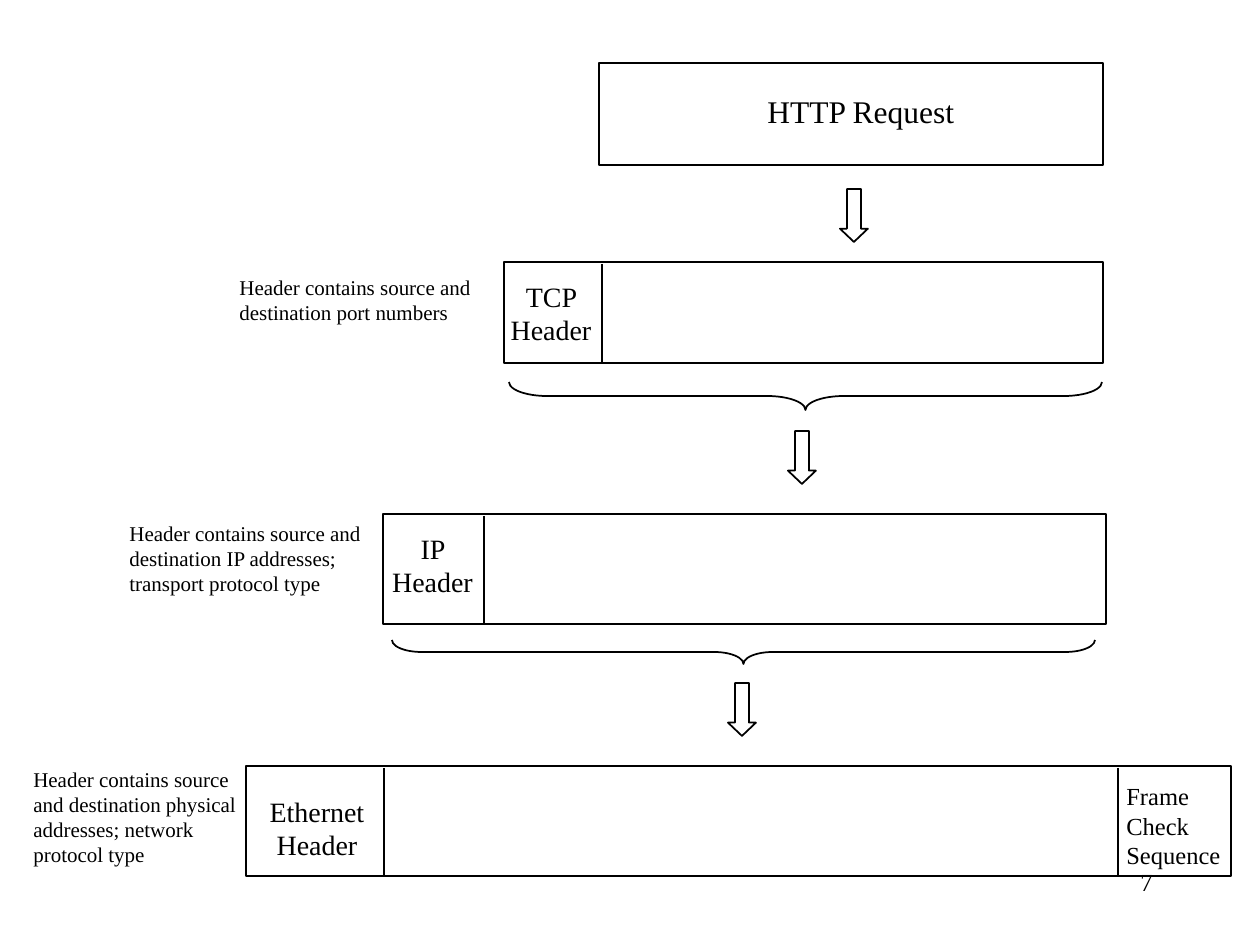
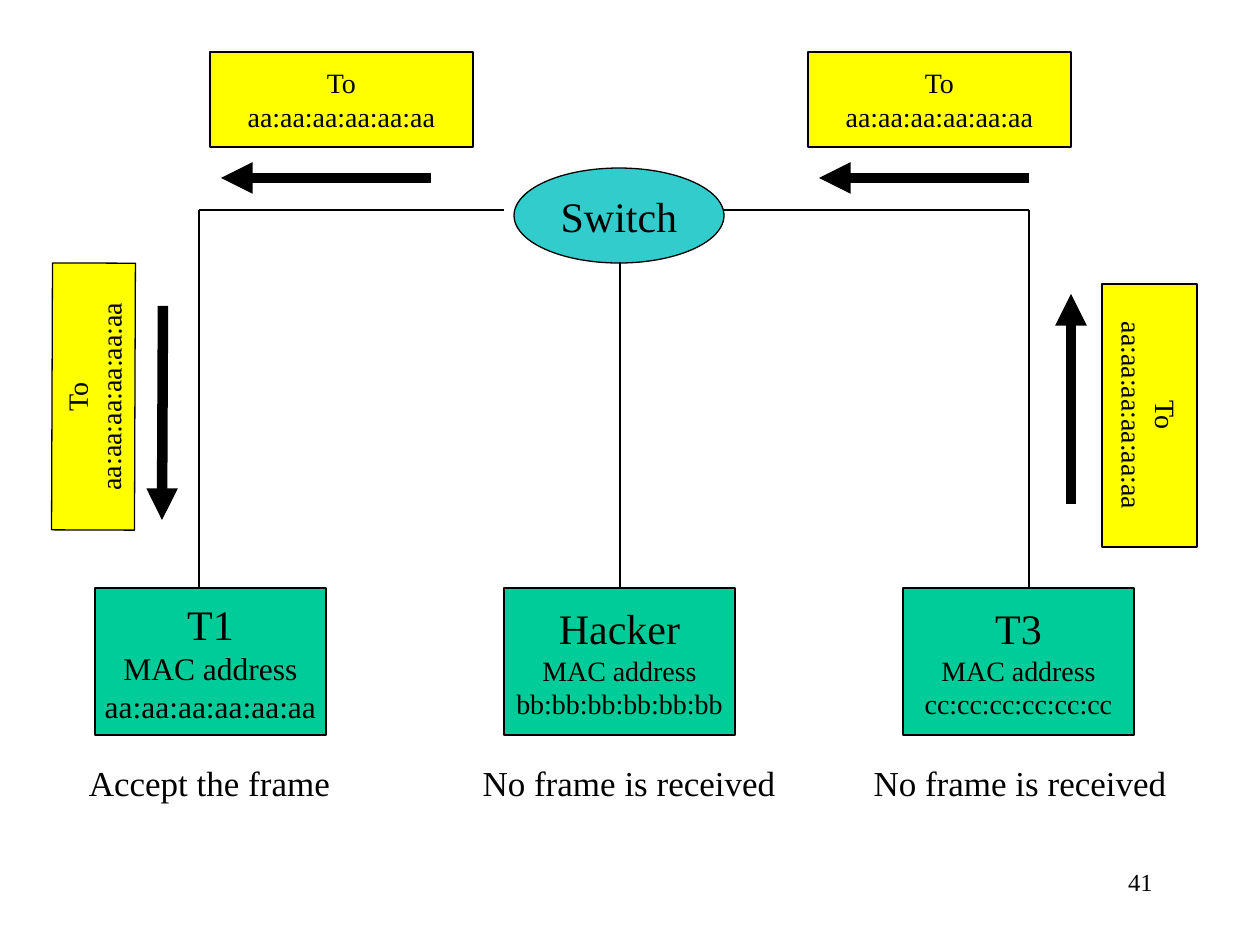
from lxml.etree import SubElement
from pptx import Presentation
from pptx.dml.color import RGBColor
from pptx.enum.shapes import MSO_CONNECTOR, MSO_SHAPE
from pptx.enum.text import MSO_ANCHOR, PP_ALIGN
from pptx.oxml.ns import qn
from pptx.util import Emu, Pt

SCALE = 914400 / 126
FONT = "Times New Roman"
BLACK = RGBColor(0x00, 0x00, 0x00)
GREEN = RGBColor(0x00, 0xCC, 0x99)
TEAL = RGBColor(0x33, 0xCC, 0xCC)
YELLOW = RGBColor(0xFF, 0xFF, 0x00)
LEFT, MID, RIGHT = PP_ALIGN.LEFT, PP_ALIGN.CENTER, PP_ALIGN.RIGHT


def px(*sizes):
    """Turn pixel lengths into EMU."""
    return [Emu(round(size * SCALE)) for size in sizes]


def write(shape, text, size=16, head=None, align=MID, anchor=MSO_ANCHOR.MIDDLE,
          wrap=False, pad=True, space=None):
    """Fill a shape with lines of text; head is the size of the first line."""
    frame = shape.text_frame
    frame.text = text
    frame.word_wrap = wrap
    frame.vertical_anchor = anchor
    if not pad:
        frame.margin_left = frame.margin_right = 0
        frame.margin_top = frame.margin_bottom = 0
    for row, para in enumerate(frame.paragraphs):
        para.alignment = align
        para.line_spacing = space
        para.font.name = FONT
        para.font.size = Pt(head if head and row == 0 else size)
        para.font.color.rgb = BLACK


def label(slide, text, area, anchor=MSO_ANCHOR.TOP, **form):
    """Add a text box."""
    box = slide.shapes.add_textbox(*px(*area))
    write(box, text, anchor=anchor, **form)


def block(slide, kind, area, fill=None, width=1, turn=0):
    """Add a black-edged preset shape."""
    shape = slide.shapes.add_shape(kind, *px(*area))
    shape.shadow.inherit = False
    shape.rotation = turn
    shape.line.color.rgb = BLACK
    shape.line.width = Pt(width)
    if fill is None:
        shape.fill.background()
    else:
        shape.fill.solid()
        shape.fill.fore_color.rgb = fill
    return shape


def rule(slide, ends, width=1, arrow=False):
    """Add a straight line, with an arrowhead at its end if asked."""
    line = slide.shapes.add_connector(MSO_CONNECTOR.STRAIGHT, *px(*ends))
    line.line.color.rgb = BLACK
    line.line.width = Pt(width)
    props = line._element.spPr
    if arrow:
        SubElement(props.find(qn("a:ln")), qn("a:tailEnd"), type="triangle")
    SubElement(props, qn("a:effectLst"))


def brace(slide, left, top, length, depth, curve):
    """Add a brace that lies flat and points down."""
    area = (left + (length - depth) / 2, top - (length - depth) / 2, depth, length)
    shape = block(slide, MSO_SHAPE.LEFT_BRACE, area, turn=270)
    shape.adjustments[0] = curve
    shape.adjustments[1] = 0.5


def arrow(slide, left, top):
    """Add a hollow down arrow."""
    shape = block(slide, MSO_SHAPE.DOWN_ARROW, (left, top, 28, 53))
    shape.adjustments[0] = 0.5
    shape.adjustments[1] = 0.475


def packet(slide, area, split, name, spot, note, place):
    """Add a packet with its header cell and the note beside it."""
    top, high = area[1], area[3]
    block(slide, MSO_SHAPE.RECTANGLE, area)
    rule(slide, (split, top + 2, split, top + high + 1))
    label(slide, name, spot, wrap=True)
    label(slide, note, place, size=12, align=LEFT,
          anchor=MSO_ANCHOR.MIDDLE, wrap=True)


def frame(slide, area, ends, turn=0):
    """Add an addressed frame and the arrow of its travel."""
    shape = block(slide, MSO_SHAPE.RECTANGLE, area, YELLOW, 0.75, turn)
    write(shape, "To\naa:aa:aa:aa:aa:aa")
    rule(slide, ends, 6, arrow=True)


def host(slide, left, name, mac, size=16):
    """Add a station with its MAC address."""
    shape = block(slide, MSO_SHAPE.RECTANGLE, (left, 588, 231, 147), GREEN, 0.75)
    write(shape, f"{name}\nMAC address\n{mac}", size=size, head=24)


def number(slide, text):
    """Add the page number."""
    label(slide, text, (903, 861, 262, 63), size=14, align=RIGHT, wrap=True)


def layers(slide):
    """Draw a request wrapped by each protocol layer."""
    block(slide, MSO_SHAPE.RECTANGLE, (599, 63, 504, 102))
    label(slide, "HTTP Request", (755, 86, 213, 50), size=18, align=LEFT)
    packet(slide, (504, 262, 599, 101), 602, "TCP Header", (486, 273, 130, 79),
           "Header contains source and destination port numbers",
           (227, 268, 271, 63))
    packet(slide, (383, 514, 723, 110), 484, "IP Header", (370, 525, 125, 79),
           "Header contains source and destination IP addresses; "
           "transport protocol type", (117, 514, 297, 88))
    packet(slide, (246, 766, 985, 110), 384, "Ethernet Header",
           (244, 788, 146, 79),
           "Header contains source and destination physical addresses; "
           "network protocol type", (21, 760, 239, 113))
    rule(slide, (1118, 768, 1118, 876))
    label(slide, "Frame Check Sequence", (1114, 775, 126, 101), size=14,
          align=LEFT, wrap=True)
    brace(slide, 509, 382, 593, 28, 1.36)
    brace(slide, 392, 640, 703, 24, 1.23)
    for row, left in enumerate((840, 788, 728)):
        arrow(slide, left, (189, 431, 683)[row])
    number(slide, "7")


def switch(slide):
    """Draw a switch that passes a frame to one host only."""
    host(slide, 95, "T1", "aa:aa:aa:aa:aa:aa", 18)
    host(slide, 504, "Hacker", "bb:bb:bb:bb:bb:bb")
    host(slide, 903, "T3", "cc:cc:cc:cc:cc:cc")
    hub = block(slide, MSO_SHAPE.OVAL, (514, 168, 210, 95), TEAL, 0.75)
    write(hub, "Switch", size=24)
    for ends in ((620, 262, 620, 588), (199, 588, 199, 210), (199, 210, 504, 210),
                 (724, 210, 1029, 210), (1029, 588, 1029, 210)):
        rule(slide, ends, 0.75)
    for left in (210, 808):
        frame(slide, (left, 52, 263, 95), (left + 221, 178, left + 11, 178))
    frame(slide, (-40, 355, 267, 83), (163, 306, 162, 520), 270.2)
    frame(slide, (1018, 368, 263, 95), (1071, 504, 1071, 294), 90)
    for left, width, text in ((73, 273, "Accept the frame"),
                              (482, 294, "No frame is received"),
                              (873, 294, "No frame is received")):
        label(slide, text, (left, 766, width, 38), size=20, pad=False, space=0.9)
    number(slide, "41")


def main():
    """Build and save the deck."""
    deck = Presentation()
    deck.slide_width, deck.slide_height = px(1260, 945)
    for draw in (layers, switch):
        draw(deck.slides.add_slide(deck.slide_layouts[6]))
    deck.save("out.pptx")


if __name__ == "__main__":
    main()
